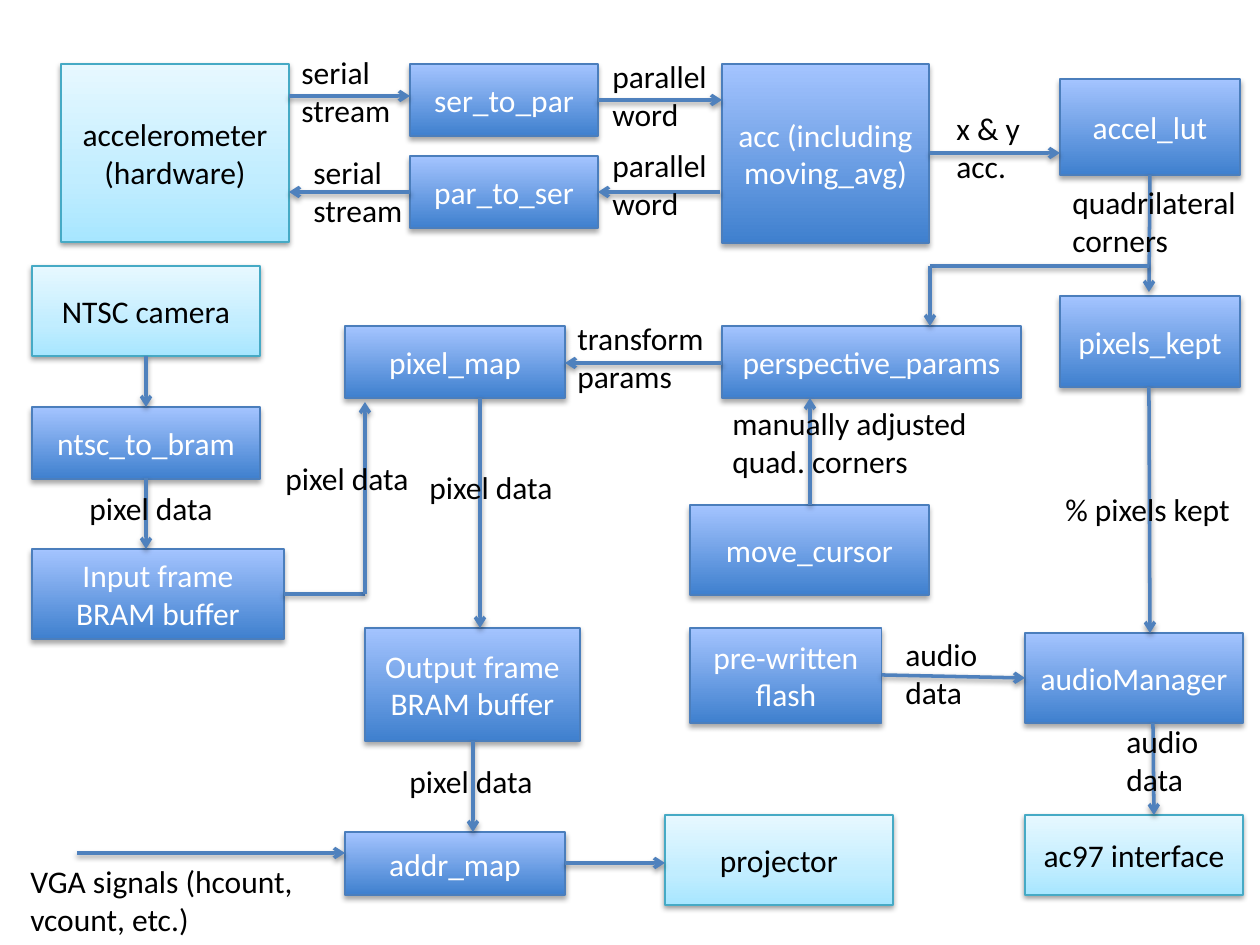
from copy import deepcopy
from itertools import pairwise

from lxml import etree
from pptx import Presentation
from pptx.dml.color import RGBColor
from pptx.enum.shapes import MSO_CONNECTOR, MSO_SHAPE
from pptx.enum.text import MSO_ANCHOR, MSO_AUTO_SIZE, PP_ALIGN
from pptx.oxml.ns import qn
from pptx.util import Emu, Pt

RECTANGLE = MSO_SHAPE.RECTANGLE
STRAIGHT = MSO_CONNECTOR.STRAIGHT
MIDDLE = MSO_ANCHOR.MIDDLE
CENTER, LEFT = PP_ALIGN.CENTER, PP_ALIGN.LEFT
GROW = MSO_AUTO_SIZE.SHAPE_TO_FIT_TEXT

PIXEL = 914400 // 126
SLIDE_WIDTH, SLIDE_HEIGHT = 1260, 945

BLACK = RGBColor(0x00, 0x00, 0x00)
WHITE = RGBColor(0xFF, 0xFF, 0xFF)
WIRE = RGBColor(0x4F, 0x81, 0xBD)
MODULE_EDGE = RGBColor(0x4B, 0x7E, 0xBC)
MODULE_LOW = RGBColor(0x3F, 0x80, 0xCE)
MODULE_HIGH = RGBColor(0xA4, 0xC4, 0xFF)
DEVICE_EDGE = RGBColor(0x46, 0xAA, 0xC5)
DEVICE_LOW = RGBColor(0xA7, 0xE6, 0xFF)
DEVICE_MID = RGBColor(0xC1, 0xED, 0xFF)
DEVICE_HIGH = RGBColor(0xE7, 0xF8, 0xFF)

# Shadows are (distance in points, opacity in percent)
SOFT_SHADOW = (1.6, 38)
MODULE_STYLE = {
    "stops": [(0, MODULE_LOW), (1, MODULE_HIGH)],
    "edge": MODULE_EDGE, "ink": WHITE, "shadow": (1.8, 35),
}
DEVICE_STYLE = {
    "stops": [(0, DEVICE_LOW), (0.35, DEVICE_MID), (1, DEVICE_HIGH)],
    "edge": DEVICE_EDGE, "ink": BLACK, "shadow": SOFT_SHADOW,
}

# Each entry: text, left, top, width, height
DEVICES = [
    ("accelerometer (hardware)", 61, 64, 228, 178),
    ("NTSC camera", 32, 266, 228, 90),
    ("ac97 interface", 1025, 815, 218, 80),
    ("projector", 665, 815, 228, 90),
]
MODULES = [
    ("ser_to_par", 410, 64, 188, 72),
    ("par_to_ser", 410, 156, 188, 72),
    ("acc (including moving_avg)", 722, 64, 207, 179),
    ("accel_lut", 1060, 79, 180, 96),
    ("pixels_kept", 1060, 296, 180, 91),
    ("audioManager", 1025, 633, 218, 90),
    ("pre-written flash", 690, 628, 192, 95),
    ("perspective_params", 722, 326, 299, 72),
    ("ntsc_to_bram", 32, 407, 228, 72),
    ("move_cursor", 690, 505, 239, 90),
    ("Input frame BRAM buffer", 32, 549, 252, 90),
    ("pixel_map", 345, 326, 220, 72),
    ("Output frame BRAM buffer", 365, 628, 215, 113),
    ("addr_map", 345, 832, 220, 63),
]
LABELS = [
    ("serial stream", 289, 47, 155, 89),
    ("serial stream", 301, 147, 155, 89),
    ("parallel\nword", 600, 51, 155, 89),
    ("parallel\nword", 600, 140, 155, 89),
    ("x & y\nacc.", 944, 103, 92, 89),
    ("quadrilateral\ncorners", 1060, 177, 200, 89),
    ("audio\ndata", 893, 629, 102, 89),
    ("audio\ndata", 1114, 716, 102, 89),
    ("% pixels kept", 1053, 484, 200, 50),
    ("manually adjusted quad. corners", 720, 398, 275, 89),
    ("transform\nparams", 565, 313, 174, 89),
    ("pixel data", 77, 483, 184, 50),
    ("pixel data", 273, 453, 184, 50),
    ("pixel data", 417, 462, 184, 50),
    ("pixel data", 397, 756, 184, 50),
    ("VGA signals (hcount, vcount, etc.)", 18, 856, 328, 89),
]
# The arrowhead sits at the last point of each route
ROUTES = [
    [(289, 96), (410, 96)],
    [(410, 192), (289, 192)],
    [(720, 192), (598, 192)],
    [(598, 100), (722, 100)],
    [(930, 153), (1060, 153)],
    [(1150, 175), (1149, 292)],
    [(1149, 387), (1150, 633)],
    [(1153, 723), (1154, 815)],
    [(882, 675), (1025, 678)],
    [(1149, 266), (930, 266), (930, 326)],
    [(146, 356), (146, 407)],
    [(810, 505), (810, 398)],
    [(722, 363), (565, 363)],
    [(146, 478), (146, 549)],
    [(284, 594), (365, 594), (365, 402)],
    [(480, 398), (480, 628)],
    [(77, 853), (345, 853)],
    [(473, 741), (473, 832)],
    [(565, 863), (665, 863)],
]


def scale(lengths):
    return [Emu(length * PIXEL) for length in lengths]


def add_shadow(part, distance, opacity):
    properties = part._element.spPr
    effects = properties.find(qn("a:effectLst"))
    if effects is None:
        effects = etree.SubElement(properties, qn("a:effectLst"))
    shadow = etree.SubElement(
        effects, qn("a:outerShdw"), blurRad=str(Pt(3.1)), dist=str(Pt(distance)),
        dir="5400000", rotWithShape="0")
    tint = etree.SubElement(shadow, qn("a:srgbClr"), val=str(BLACK))
    etree.SubElement(tint, qn("a:alpha"), val=str(opacity * 1000))


def fill_gradient(shape, stops):
    shape.fill.gradient()
    shape.fill.gradient_angle = 90
    stop_list = shape._element.spPr.find(qn("a:gradFill")).find(qn("a:gsLst"))
    while len(stop_list) < len(stops):
        stop_list.append(deepcopy(stop_list[0]))
    for stop, (position, color) in zip(shape.fill.gradient_stops, stops):
        stop.position = position
        stop.color.rgb = color


def write_text(frame, text, ink, alignment, **frame_format):
    frame.text = text
    for name, value in {"word_wrap": True, **frame_format}.items():
        setattr(frame, name, value)
    for paragraph in frame.paragraphs:
        paragraph.alignment = alignment
        for name, value in {"name": "Calibri", "size": Pt(18)}.items():
            setattr(paragraph.font, name, value)
        paragraph.font.color.rgb = ink
        for run in paragraph.runs:
            run.font.color.rgb = ink


def add_block(slide, style, text, *bounds):
    block = slide.shapes.add_shape(RECTANGLE, *scale(bounds))
    fill_gradient(block, style["stops"])
    block.line.color.rgb = style["edge"]
    block.line.width = Pt(0.75)
    block.shadow.inherit = False
    add_shadow(block, *style["shadow"])
    write_text(block.text_frame, text, style["ink"], CENTER, vertical_anchor=MIDDLE)


def add_label(slide, text, *bounds):
    label = slide.shapes.add_textbox(*scale(bounds))
    write_text(label.text_frame, text, BLACK, LEFT, auto_size=GROW)


def add_route(slide, points):
    for start, end in pairwise(points):
        wire = slide.shapes.add_connector(STRAIGHT, *scale(start + end))
        wire.line.color.rgb = WIRE
        wire.line.width = Pt(2)
        add_shadow(wire, *SOFT_SHADOW)
    outline = wire._element.spPr.find(qn("a:ln"))
    etree.SubElement(outline, qn("a:tailEnd"), type="arrow")


def main():
    presentation = Presentation()
    presentation.slide_width, presentation.slide_height = scale(
        (SLIDE_WIDTH, SLIDE_HEIGHT))
    slide = presentation.slides.add_slide(presentation.slide_layouts[6])

    # Hardware devices and logic modules
    for style, blocks in ((DEVICE_STYLE, DEVICES), (MODULE_STYLE, MODULES)):
        for block in blocks:
            add_block(slide, style, *block)

    # Signal paths and their names
    for route in ROUTES:
        add_route(slide, route)
    for label in LABELS:
        add_label(slide, *label)

    presentation.save("out.pptx")


main()
